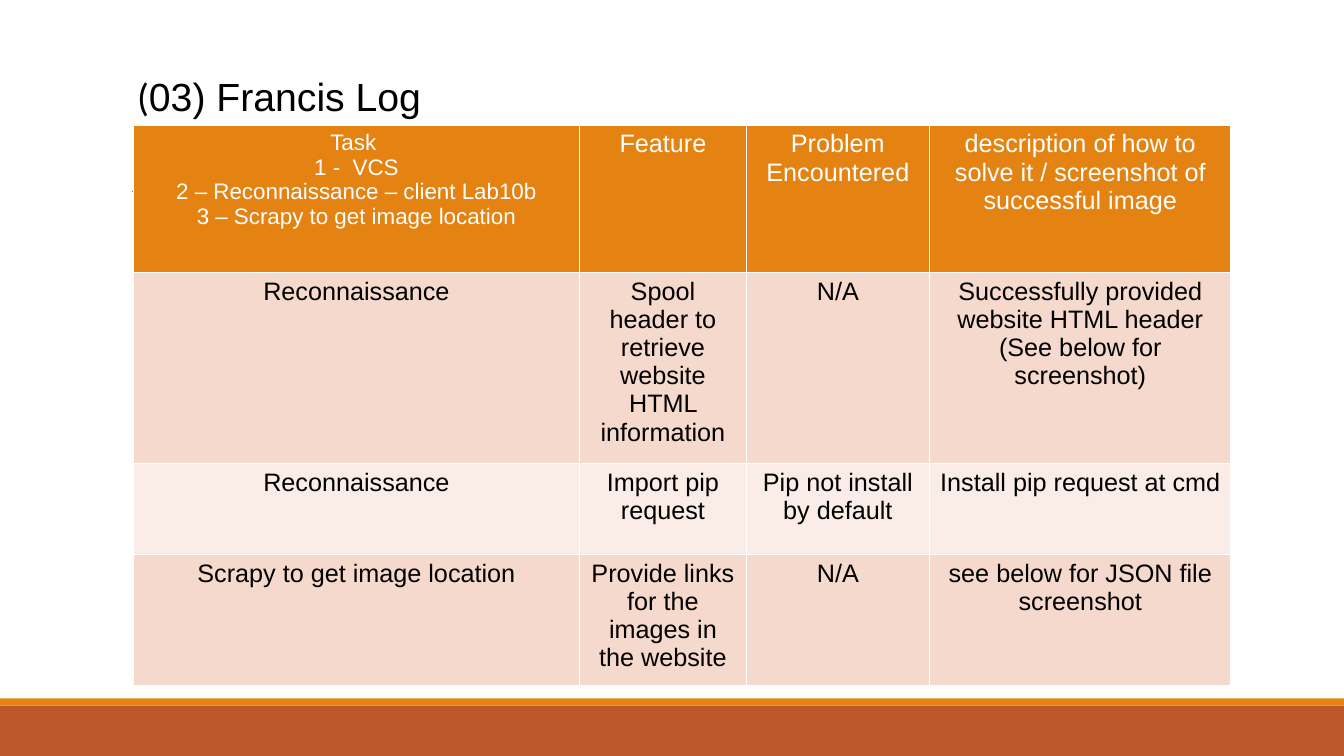
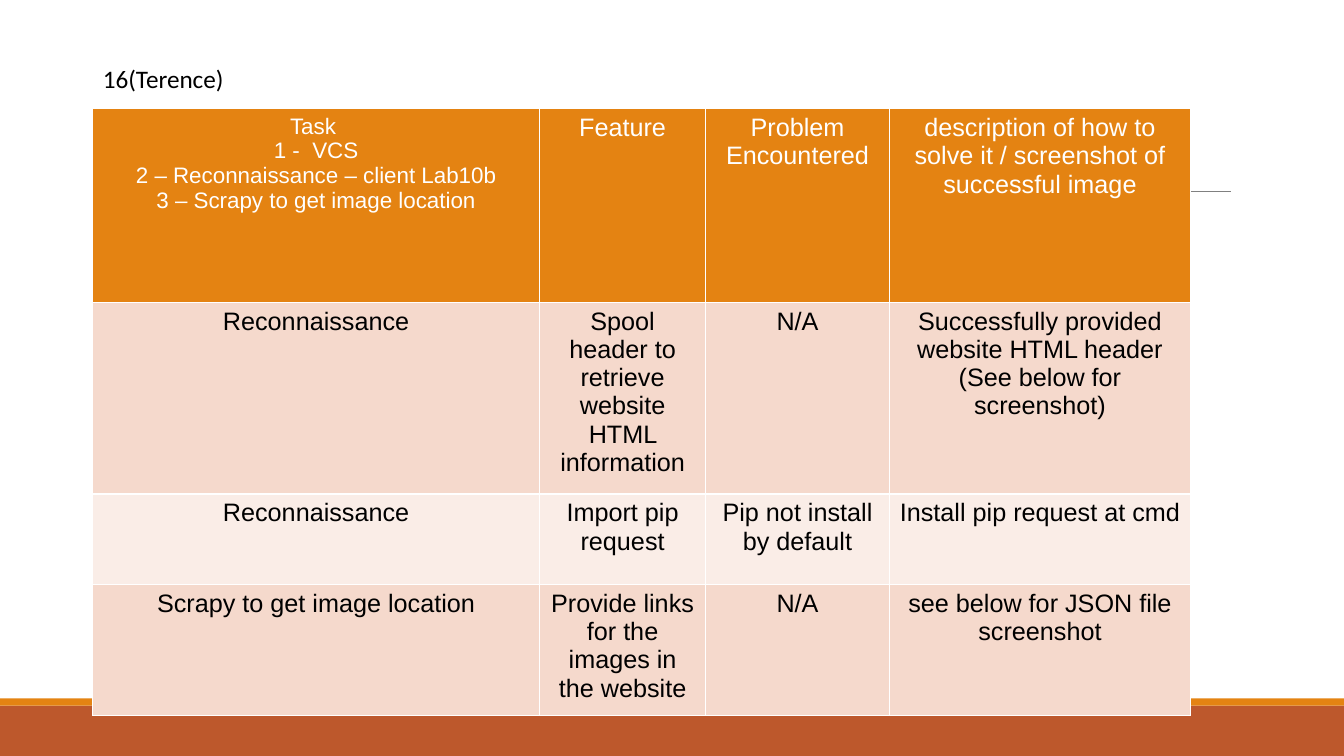
from lxml.etree import SubElement
from pptx import Presentation
from pptx.dml.color import RGBColor
from pptx.enum.shapes import MSO_CONNECTOR, MSO_SHAPE
from pptx.enum.text import MSO_ANCHOR, MSO_AUTO_SIZE, PP_ALIGN
from pptx.oxml.ns import qn
from pptx.util import Inches, Pt

ORANGE, RUST, GREY = "E48312", "BD582C", "808080"
WHITE, BLACK = "FFFFFF", "000000"
ROW_FILLS = ("F5D9CC", "FAEDE7")

HEADER = [
    ["Task ", "1 -  VCS", "2 – Reconnaissance – client Lab10b",
     "3 – Scrapy to get image location"],
    ["Feature"],
    ["Problem Encountered"],
    ["description of how to solve it / screenshot of successful image"],
]
LOG = [
    ("Reconnaissance", "Spool header to retrieve website HTML information", "N/A",
     "Successfully provided website HTML header (See below for screenshot)"),
    ("Reconnaissance", "Import pip request", "Pip not install by default",
     "Install pip request at cmd"),
    ("Scrapy to get image location", "Provide links for the images in the website",
     "N/A", "see below for JSON file screenshot"),
]
COLUMN_WIDTHS = (4.43, 1.65, 1.82, 2.99)
LOG_HEIGHTS = (1.78, 0.9, 1.24)

SLIDES = [
    dict(title=[("(", "Calibri"), ("03) Francis Log", "Arial")], title_size=28,
         title_box=(1.26, 0.67, 3.16, 0.57), wrap=False,
         table_at=(1.32, 1.24), header_height=1.46),
    dict(title=[("16(Terence)", "Calibri")], title_size=18,
         title_box=(0.92, 0.58, 2.06, 0.4), wrap=True,
         table_at=(0.92, 1.08), header_height=1.92),
]


def color(value):
    return RGBColor.from_string(value)


def add_text(para, text, *, size, font="Arial", ink=BLACK, align=PP_ALIGN.CENTER):
    para.alignment = align
    span = para.add_run()
    span.text = text
    span.font.name, span.font.size, span.font.bold = font, Pt(size), False
    span.font.color.rgb = color(ink)


def add_frame(slide):
    """Draw the two bottom bands and the thin rule that every slide carries."""
    for top, height, fill in ((7, 0.5, RUST), (6.93, 0.07, ORANGE)):
        band = slide.shapes.add_shape(MSO_SHAPE.RECTANGLE, 0, Inches(top),
                                      Inches(13.33), Inches(height))
        band.shadow.inherit = False
        band.fill.solid()
        band.fill.fore_color.rgb = color(fill)
        band.line.fill.background()
    rule = slide.shapes.add_connector(MSO_CONNECTOR.STRAIGHT, Inches(1.31), Inches(1.9),
                                      Inches(12.21), Inches(1.9))
    rule.line.color.rgb = color(GREY)
    rule.line.width = Pt(0.5)
    SubElement(rule._element.spPr, qn("a:effectLst"))


def set_title(slide, pieces, box, size, wrap):
    title = slide.shapes.title
    title.left, title.top, title.width, title.height = map(Inches, box)
    frame = title.text_frame
    frame.word_wrap = wrap
    frame.auto_size = MSO_AUTO_SIZE.SHAPE_TO_FIT_TEXT
    frame.vertical_anchor = MSO_ANCHOR.TOP
    for text, font in pieces:
        add_text(frame.paragraphs[0], text, size=size, font=font, align=PP_ALIGN.LEFT)


def fill_cell(cell, lines, *, fill, ink, size):
    frame = cell.text_frame
    for index, line in enumerate(lines):
        para = frame.add_paragraph() if index else frame.paragraphs[0]
        add_text(para, line, size=size, ink=ink)
    properties = cell._tc.get_or_add_tcPr()
    for side in ("lnL", "lnR", "lnT", "lnB"):
        border = SubElement(properties, qn(f"a:{side}"), w=str(Pt(1)))
        solid = SubElement(border, qn("a:solidFill"))
        SubElement(solid, qn("a:srgbClr"), val=WHITE)
    cell.fill.solid()
    cell.fill.fore_color.rgb = color(fill)


def add_log_table(slide, at, header_height):
    heights = (header_height, *LOG_HEIGHTS)
    table = slide.shapes.add_table(
        len(heights), len(COLUMN_WIDTHS), *map(Inches, at),
        Inches(sum(COLUMN_WIDTHS)), Inches(sum(heights))).table
    for column, width in zip(table.columns, COLUMN_WIDTHS):
        column.width = Inches(width)
    for row, height in zip(table.rows, heights):
        row.height = Inches(height)
    for column, lines in enumerate(HEADER):
        fill_cell(table.cell(0, column), lines, fill=ORANGE, ink=WHITE,
                  size=16 if len(lines) > 1 else 18)
    for row, entry in enumerate(LOG):
        for column, text in enumerate(entry):
            fill_cell(table.cell(row + 1, column), [text], fill=ROW_FILLS[row % 2],
                      ink=BLACK, size=18)


def main():
    deck = Presentation()
    deck.slide_width, deck.slide_height = Inches(13.33), Inches(7.5)
    for content in SLIDES:
        slide = deck.slides.add_slide(deck.slide_layouts[5])
        add_frame(slide)
        set_title(slide, content["title"], content["title_box"],
                  content["title_size"], content["wrap"])
        add_log_table(slide, content["table_at"], content["header_height"])
    deck.save("out.pptx")


if __name__ == "__main__":
    main()
